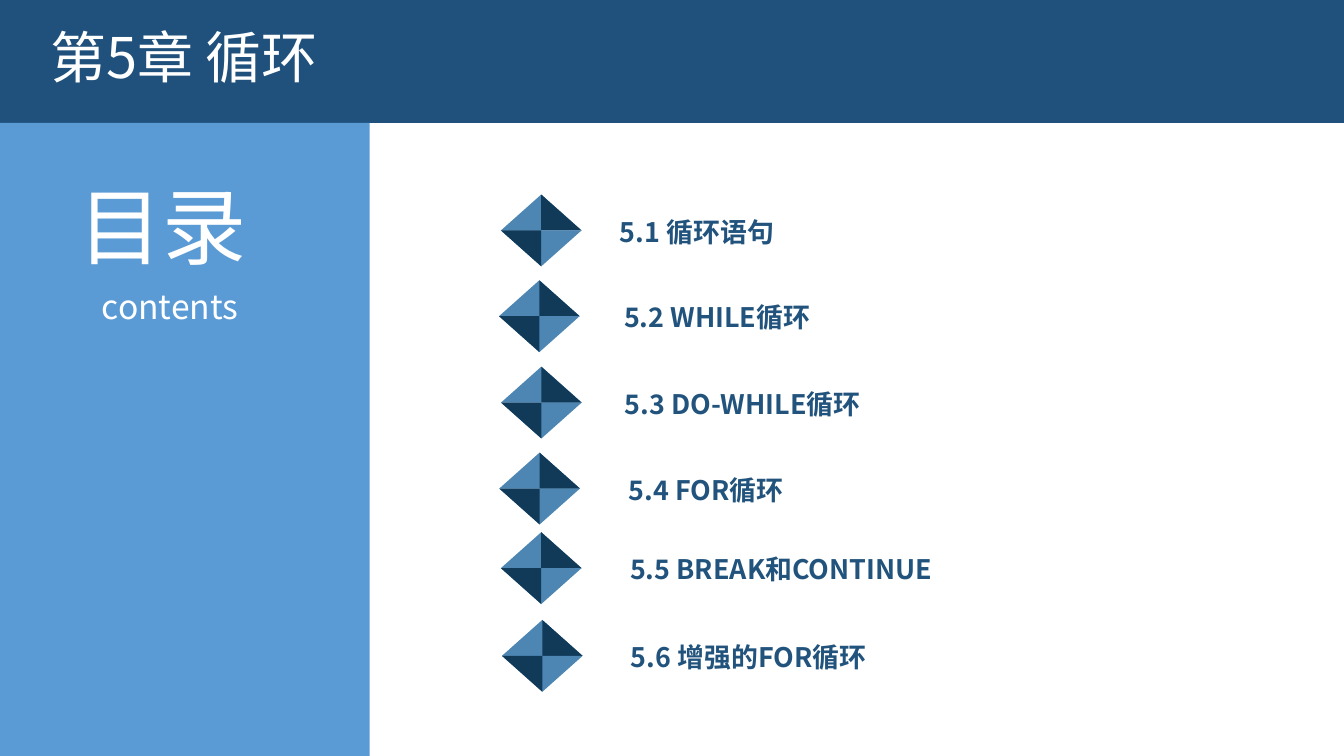
from dataclasses import dataclass

from pptx import Presentation
from pptx.dml.color import RGBColor
from pptx.enum.shapes import MSO_SHAPE as Kind
from pptx.enum.text import MSO_AUTO_SIZE as Fit, PP_ALIGN as Align
from pptx.oxml.ns import qn
from pptx.util import Inches, Pt

FONT = "Noto Sans CJK SC"
WHITE, NAVY, BLUE = "FFFFFF", "20517C", "5B9BD5"
LIGHT, DARK, INK = "4D86B3", "113A59", "21537D"

deck = Presentation()
deck.slide_width, deck.slide_height = Inches(13.33), Inches(7.5)
slide = deck.slides.add_slide(deck.slide_layouts[6])


# Lengths are percentages of the slide's width and height
def across(share: float) -> int:
    return round(deck.slide_width * share / 100)


def down(share: float) -> int:
    return round(deck.slide_height * share / 100)


@dataclass
class Box:
    left: float
    top: float
    width: float
    height: float

    def place(self) -> tuple:
        return (across(self.left), down(self.top),
                across(self.width), down(self.height))


@dataclass
class Label:
    text: str
    box: Box
    size: int
    color: str = WHITE
    align: Align = Align.LEFT
    item: bool = False


@dataclass
class Entry:
    text: str
    mark: float
    left: float
    top: float
    width: float


def paint(shape, color: str) -> None:
    shape.shadow.inherit = False
    shape.fill.solid()
    shape.fill.fore_color.rgb = RGBColor.from_string(color)
    shape.line.fill.background()


def panel(box: Box, color: str) -> None:
    paint(slide.shapes.add_shape(Kind.RECTANGLE, *box.place()), color)


def write(label: Label) -> None:
    frame = slide.shapes.add_textbox(*label.box.place()).text_frame
    frame.word_wrap = not label.item
    frame.auto_size = Fit.SHAPE_TO_FIT_TEXT
    if label.item:
        frame.margin_left = frame.margin_right = Inches(0.08)
        frame.margin_top = frame.margin_bottom = Inches(0.04)
    para = frame.paragraphs[0]
    para.alignment = label.align
    run = para.add_run()
    run.text = label.text
    font = run.font
    font.name, font.size = FONT, Pt(label.size)
    font.color.rgb = RGBColor.from_string(label.color)
    props = font._element
    props.get_or_add_latin().addnext(
        props.makeelement(qn("a:ea"), {"typeface": FONT}))
    if label.item:
        font.bold = True
        props.set("cap", "small")


# A diamond: two light triangles, each with one dark half
def diamond(box: Box) -> None:
    left, top, width, height = box.place()
    half, mid = width // 2, height // 2
    parts = slide.shapes.add_group_shape().shapes
    for row, side, turn in ((0, 1, 0), (1, -1, 180)):
        wedge = parts.add_shape(Kind.ISOSCELES_TRIANGLE,
                                left, top + row * mid, width, mid)
        wedge.rotation = turn
        paint(wedge, LIGHT)
        axis, belt = left + half, top + mid
        path = parts.build_freeform(axis, top + row * height)
        path.add_line_segments([(axis, belt), (axis + side * half, belt)])
        paint(path.convert_to_shape(), DARK)


# Header band and side panel
BAND, SIDE = 16.27, 27.5
panel(Box(0, 0, 100, BAND), NAVY)
panel(Box(0, BAND, SIDE, 100 - BAND), BLUE)

# Headings
for label in (
    Label("第5章 循环", Box(3, 2.27, 60.45, 10.27), 40),
    Label("目录", Box(5.1, 22.4, 16.43, 14.8), 60, align=Align.JUSTIFY),
    Label("contents", Box(6.83, 37.2, 13.05, 6.8), 24, align=Align.JUSTIFY),
):
    write(label)

# Contents list
for entry in (
    Entry("5.1 循环语句", 37.27, 45.53, 25.73, 15.9),
    Entry("5.2 while循环", 37.13, 45.83, 37.07, 17.63),
    Entry("5.3 do-while循环", 37.28, 45.9, 48.5, 21.98),
    Entry("5.4 for循环", 37.15, 46.2, 59.87, 15),
    Entry("5.5 break和continue", 37.27, 46.28, 70.4, 26.26),
    Entry("5.6 增强的for循环", 37.35, 46.35, 82, 22.58),
):
    diamond(Box(entry.mark, entry.top, 6, 9.5))
    write(Label(entry.text, Box(entry.left, entry.top + 1.33, entry.width, 6.4),
                24, INK, item=True))

deck.save("out.pptx")
